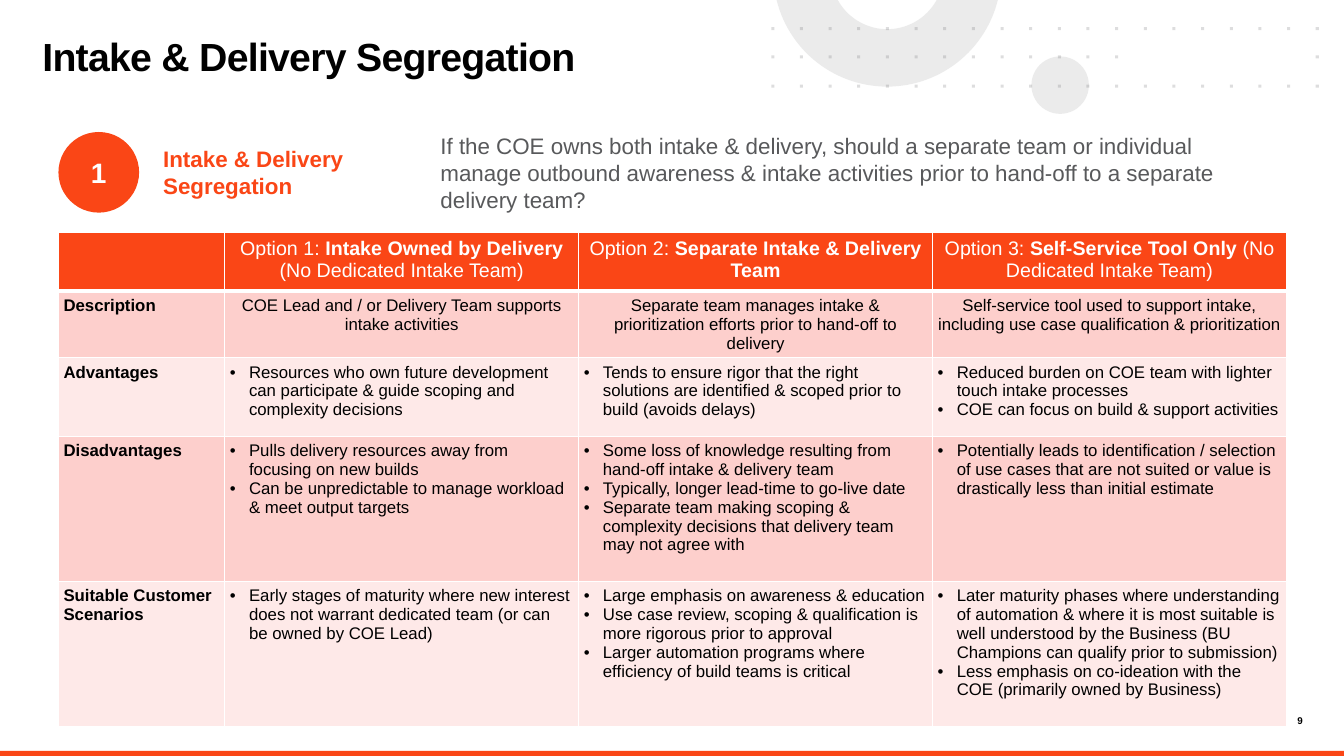
from math import asin, cos, pi, sin

from lxml.etree import SubElement
from pptx import Presentation
from pptx.dml.color import RGBColor
from pptx.enum.shapes import MSO_SHAPE as SHAPE
from pptx.enum.text import MSO_ANCHOR as ANCHOR, MSO_AUTO_SIZE as AUTO, PP_ALIGN as ALIGN
from pptx.oxml.ns import qn
from pptx.util import Pt

PX = 9144  # 100 px to the inch
FONT = "Arial"
ORANGE, WHITE, BLACK, GREY = "FA4616", "FFFFFF", "000000", "58595B"
PALE, ROSE, SILVER = "FEE9E8", "FDCFCC", "D9D9D9"

HEADERS = [
    ("Option 1: ", "Intake Owned by Delivery ", "(No Dedicated Intake Team)"),
    ("Option 2: ", "Separate Intake & Delivery Team", ""),
    ("Option 3: ", "Self-Service Tool Only ", "(No Dedicated Intake Team)"),
]
ROWS = [
    ("Description", [
        ["COE Lead and / or Delivery Team supports intake activities"],
        ["Separate team manages intake & prioritization efforts prior to hand-off to delivery"],
        ["Self-service tool used to support intake, including use case qualification & prioritization"],
    ]),
    ("Advantages", [
        ["Resources who own future development can participate & guide scoping and complexity decisions"],
        ["Tends to ensure rigor that the right solutions are identified & scoped prior to build (avoids delays)"],
        ["Reduced burden on COE team with lighter touch intake processes",
         "COE can focus on build & support activities"],
    ]),
    ("Disadvantages", [
        ["Pulls delivery resources away from focusing on new builds",
         "Can be unpredictable to manage workload & meet output targets"],
        ["Some loss of knowledge resulting from hand-off intake & delivery team",
         "Typically, longer lead-time to go-live date",
         "Separate team making scoping & complexity decisions that delivery team may not agree with"],
        ["Potentially leads to identification / selection of use cases that are not suited "
         "or value is drastically less than initial estimate"],
    ]),
    ("Suitable Customer Scenarios", [
        ["Early stages of maturity where new interest does not warrant dedicated team (or can be owned by COE Lead)"],
        ["Large emphasis on awareness & education",
         "Use case review, scoping & qualification is more rigorous prior to approval",
         "Larger automation programs where efficiency of build teams is critical"],
        ["Later maturity phases where understanding of automation & where it is most suitable is "
         "well understood by the Business (BU Champions can qualify prior to submission)",
         "Less emphasis on co-ideation with the COE (primarily owned by Business)"],
    ]),
]


def px(*values):
    return [round(v * PX) for v in values]


def rgb(color):
    return RGBColor.from_string(color)


def style(font, size, color, bold=False):
    font.name, font.size, font.bold = FONT, Pt(size), bold
    font.color.rgb = rgb(color)


def paint(sp, color, alpha=100):
    sp.shadow.inherit = False
    sp.fill.solid()
    sp.fill.fore_color.rgb = rgb(color)
    sp.line.fill.background()
    if alpha < 100:
        clr = sp._element.spPr.find(qn("a:solidFill"))[0]
        SubElement(clr, qn("a:alpha")).set("val", str(alpha * 1000))


def set_margins(obj, margin):
    obj.margin_left = obj.margin_top = obj.margin_right = obj.margin_bottom = px(margin)[0]


def add_box(s, kind, box, color, alpha=100):
    sp = s.shapes.add_shape(kind, *px(*box))
    paint(sp, color, alpha)
    return sp


def write(sp, text, size, color, bold=False, align=ALIGN.LEFT, margin=0, after=0):
    tf = sp.text_frame
    tf.word_wrap = True
    tf.vertical_anchor = ANCHOR.MIDDLE
    set_margins(tf, margin)
    tf.text = text
    p = tf.paragraphs[0]
    p.alignment = align
    p.space_after = Pt(after)
    style(p.runs[0].font, size, color, bold)


def add_outline(s, contours, color, alpha):
    """One filled shape made of closed straight-sided contours, in px."""
    fb = None
    for contour in contours:
        start, *rest = [px(*point) for point in contour]
        if fb is None:
            fb = s.shapes.build_freeform(*start, scale=1)
        else:
            fb.move_to(*start)
        fb.add_line_segments(rest, close=True)
    paint(fb.convert_to_shape(), color, alpha)


def arc_below_top(cx, cy, radius, steps=60):
    """Points of a circle from its right to its left crossing of the slide's top edge."""
    a = asin(-cy / radius)
    angles = [a + (pi - 2 * a) * i / steps for i in range(steps + 1)]
    return [(cx + radius * cos(t), cy + radius * sin(t)) for t in angles]


def add_decor(s):
    # Ring cut by the top edge, small disc, footer bar
    add_box(s, SHAPE.RECTANGLE, (0, 745, 1333, 5), ORANGE)
    add_box(s, SHAPE.OVAL, (1023, 56, 57, 57), SILVER, 50)
    ring = arc_below_top(880, -27, 113) + arc_below_top(880, -27, 56)[::-1]
    add_outline(s, [ring], SILVER, 50)
    # Dot grid, with a gap in its middle row
    dots = []
    for y in (27, 55, 84):
        for col in range(20):
            if y == 55 and 13 <= col <= 18:
                continue
            x = 765 + 540 * col / 19
            dots.append([(x, y), (x + 3, y), (x + 3, y + 3), (x, y + 3)])
    add_outline(s, dots, GREY, 20)


def add_title(s, text):
    title = s.shapes.title
    title.left, title.top, title.width, title.height = px(42, 39, 723, 75)
    write(title, text, 28, BLACK, True)
    tf = title.text_frame
    tf.vertical_anchor = ANCHOR.TOP
    tf.auto_size = AUTO.NONE
    p = tf.paragraphs[0]
    p.line_spacing = 0.85
    p.runs[0].font._element.set("spc", "-50")


def format_cell(cell, color, top=1, bottom=1):
    tcPr = cell._tc.get_or_add_tcPr()
    for side, width in (("L", 1), ("R", 1), ("T", top), ("B", bottom)):
        ln = SubElement(tcPr, qn(f"a:ln{side}"), w=str(Pt(width)))
        SubElement(SubElement(ln, qn("a:solidFill")), qn("a:srgbClr"), val=WHITE)
    cell.fill.solid()
    cell.fill.fore_color.rgb = rgb(color)
    set_margins(cell, 5)


def add_bullet(p):
    pPr = p._p.get_or_add_pPr()
    indent = px(19)[0]
    pPr.set("marL", str(indent))
    pPr.set("indent", str(-indent))
    SubElement(pPr, qn("a:buFont"), typeface=FONT)
    SubElement(pPr, qn("a:buChar"), char="•")


def fill_cell(cell, texts, bold=False, bullets=False, align=ALIGN.LEFT):
    cell.text_frame.text = "\n".join(texts)
    for p in cell.text_frame.paragraphs:
        p.alignment = align
        if bullets:
            add_bullet(p)
        style(p.runs[0].font, 12, BLACK, bold)


def add_options_table(s):
    widths, heights = (165, 351, 351, 351), (58, 56, 78, 144, 144)
    frame = s.shapes.add_table(5, 4, *px(58, 231, sum(widths), sum(heights)))
    table = frame.table
    for col, width in zip(table.columns, px(*widths)):
        col.width = width
    for row, height in zip(table.rows, px(*heights)):
        row.height = height
    # Header row
    for c in range(4):
        format_cell(table.cell(0, c), ORANGE, bottom=3)
    for c, parts in enumerate(HEADERS, 1):
        p = table.cell(0, c).text_frame.paragraphs[0]
        p.alignment = ALIGN.CENTER
        for i, part in enumerate(parts):
            if part:
                r = p.add_run()
                r.text = part
                style(r.font, 14, WHITE, bold=i == 1)
    # Body rows
    for n, (label, options) in enumerate(ROWS, 1):
        for c in range(4):
            format_cell(table.cell(n, c), ROSE if n % 2 else PALE, top=3 if n == 1 else 1)
        fill_cell(table.cell(n, 0), [label], bold=True)
        for c, texts in enumerate(options, 1):
            fill_cell(table.cell(n, c), texts, bullets=n > 1,
                      align=ALIGN.CENTER if n == 1 else ALIGN.LEFT)


def main():
    prs = Presentation()
    prs.slide_width, prs.slide_height = px(1333, 750)
    s = prs.slides.add_slide(prs.slide_layouts[5])
    add_decor(s)
    add_title(s, "Intake & Delivery Segregation")

    # Question band
    topic = add_box(s, SHAPE.RECTANGLE, (152, 131, 261, 80), WHITE)
    write(topic, "Intake & Delivery Segregation", 16, ORANGE, True, margin=10, after=12)
    badge = add_box(s, SHAPE.OVAL, (58, 131, 80, 80), ORANGE)
    write(badge, "1", 20, WHITE, True, ALIGN.CENTER)
    question = add_box(s, SHAPE.RECTANGLE, (427, 131, 848, 80), WHITE)
    write(question, "If the COE owns both intake & delivery, should a separate team or individual "
          "manage outbound awareness & intake activities prior to hand-off to a separate "
          "delivery team?", 16, GREY, margin=10, after=12)

    add_options_table(s)

    # Page number
    number = s.shapes.add_textbox(*px(1253, 708, 39, 13))
    write(number, "9", 7, BLACK, True, ALIGN.RIGHT)
    prs.save("out.pptx")


if __name__ == "__main__":
    main()
